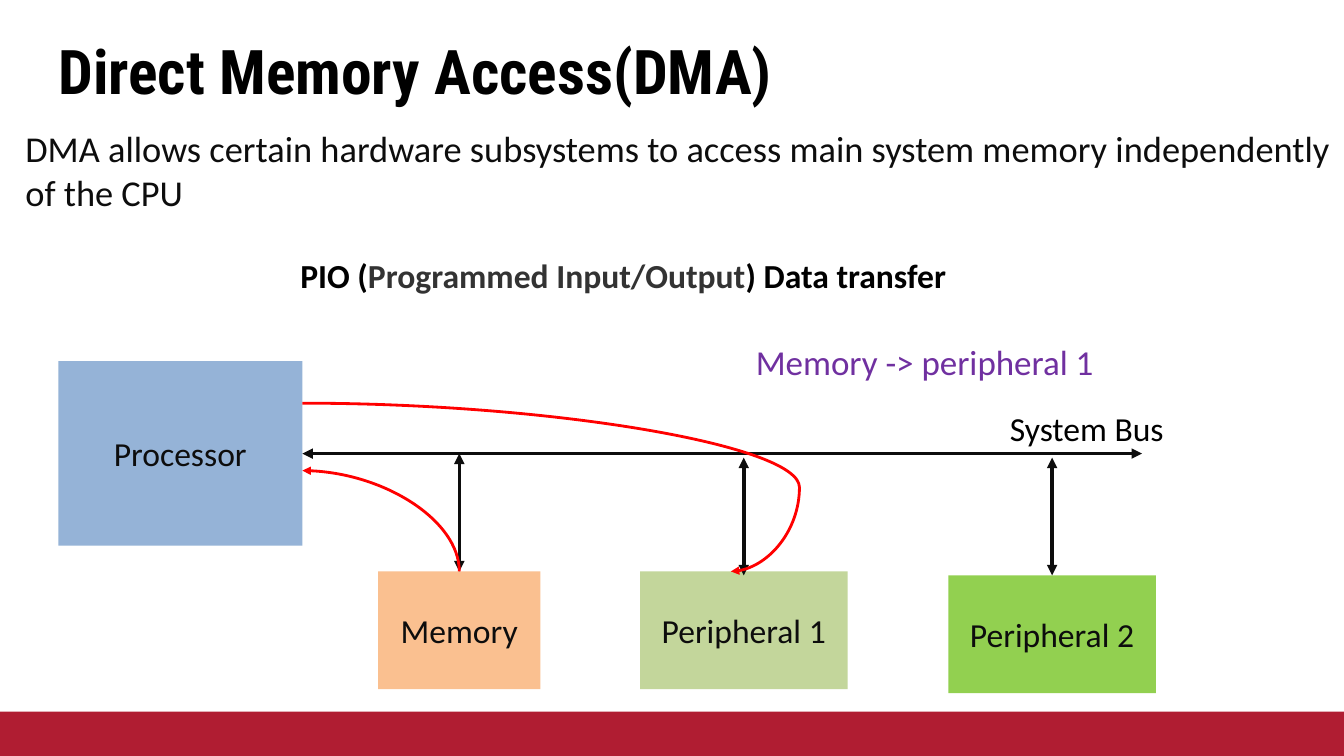
from lxml import etree
from pptx import Presentation
from pptx import util as u
from pptx.dml.color import RGBColor
from pptx.enum import shapes, text
from pptx.oxml.ns import qn

INK, BLACK, RED = "0D0D0D", "000000", "FF0000"
STRAIGHT, CURVE = shapes.MSO_CONNECTOR.STRAIGHT, shapes.MSO_CONNECTOR.CURVE


def color(hex_string):
    return RGBColor.from_string(hex_string)


def set_font(paragraph, size, hex_string, name="Calibri", bold=False):
    font = paragraph.font
    font.name, font.size, font.bold = name, u.Pt(size), bold
    font.color.rgb = color(hex_string)


def add_text(slide, box, lines, size, hex_string, name="Calibri", bold=False, inset=True):
    """Place a text box; each line is a paragraph."""
    shape = slide.shapes.add_textbox(*map(u.Cm, box))
    frame = shape.text_frame
    frame.word_wrap = True
    if not inset:
        frame.margin_left = frame.margin_right = frame.margin_top = frame.margin_bottom = 0
    frame.text = "\n".join(lines)
    for paragraph in frame.paragraphs:
        set_font(paragraph, size, hex_string, name, bold)
    return shape


def add_block(slide, box, fill, label=""):
    shape = slide.shapes.add_shape(shapes.MSO_SHAPE.RECTANGLE, *map(u.Cm, box))
    shape.shadow.inherit = False
    shape.fill.solid()
    shape.fill.fore_color.rgb = color(fill)
    shape.line.fill.background()
    if label:
        frame = shape.text_frame
        frame.vertical_anchor = text.MSO_ANCHOR.MIDDLE
        frame.text = label
        frame.paragraphs[0].alignment = text.PP_ALIGN.CENTER
        set_font(frame.paragraphs[0], 24, INK)


def add_arrow(slide, kind, start, end, hex_string, width, both_ends=False):
    connector = slide.shapes.add_connector(kind, *map(u.Cm, (*start, *end)))
    connector.line.color.rgb = color(hex_string)
    connector.line.width = u.Pt(width)
    line = connector.line._get_or_add_ln()
    for tag in ("a:headEnd", "a:tailEnd") if both_ends else ("a:tailEnd",):
        etree.SubElement(line, qn(tag), type="triangle")
    properties = connector._element.spPr
    etree.SubElement(properties, qn("a:effectLst"))
    return properties


def add_quarter_curve(slide, start, end):
    """Leave start upwards and reach end leftwards: a quarter curve turned by 270 degrees."""
    center_x, center_y = (start[0] + end[0]) / 2, (start[1] + end[1]) / 2
    half_x, half_y = (start[0] - end[0]) / 2, (start[1] - end[1]) / 2
    properties = add_arrow(slide, CURVE, (center_x - half_y, center_y + half_x),
                           (center_x + half_y, center_y - half_x), RED, 2)
    properties.find(qn("a:xfrm")).set("rot", str(270 * 60000))
    properties.find(qn("a:prstGeom")).set("prst", "curvedConnector2")


def add_loop_curve(slide, start, end, bend):
    """Swing past end and come back; bend is the turning point as a share of the width."""
    properties = add_arrow(slide, CURVE, start, end, RED, 2)
    guides = properties.find(qn("a:prstGeom")).find(qn("a:avLst"))
    etree.SubElement(guides, qn("a:gd"), name="adj1", fmla=f"val {round(bend * 100000)}")


def add_heading(slide, left, top):
    add_text(slide, (left + 0.83, top, 28.78, 1.88), ["Direct Memory Access(DMA)"],
             44, BLACK, "Roboto Condensed", bold=True, inset=False)
    add_text(slide, (left, top + 2.34, 35.36, 2.24),
             ["DMA allows certain hardware subsystems to access main system memory independently",
              "of the CPU"], 26, INK, inset=False)


def add_caption(slide, box):
    shape = add_text(slide, box, [""], 24, BLACK, bold=True)
    paragraph = shape.text_frame.paragraphs[0]
    for words, hex_string in (("PIO (", BLACK), ("Programmed Input/Output", "333333"),
                              (") Data transfer", BLACK)):
        run = paragraph.add_run()
        run.text = words
        run.font.color.rgb = color(hex_string)


def add_bus_diagram(slide, left, top):
    def at(x, y):
        return left + x, top + y

    processor_right, bus_y, device_y, device_height = 6.15, 2.97, 5.94, 2.97
    memory_x, memory_width = 8.06, 4.09

    # Processor and system bus
    add_block(slide, (*at(0, 0.64), processor_right, 4.65), "95B3D7", "Processor")
    add_arrow(slide, STRAIGHT, at(processor_right, bus_y), at(27.31, bus_y), INK, 2.5, True)
    add_text(slide, (*at(23.73, 1.7), 4.65, 1.27), ["System Bus"], 24, BLACK)

    # Devices: x, width, drop of box, drop of link, fill, label
    for x, width, drop, link_drop, fill, label in (
            (memory_x, memory_width, 0, 0, "FAC090", "Memory"),
            (14.66, 5.23, 0, 0.1, "C3D69B", "Peripheral 1"),
            (22.43, 5.23, 0.1, 0.1, "92D050", "Peripheral 2")):
        add_block(slide, (*at(x, device_y + drop), width, device_height), fill, label)
        middle = x + width / 2
        add_arrow(slide, STRAIGHT, at(middle, device_y + link_drop),
                  at(middle, bus_y + link_drop), INK, 2.5, True)

    # Data transfer through the processor
    add_text(slide, (*at(17.33, 0), 11.13, 1.32), ["Memory -> peripheral 1"], 25, "7030A0")
    add_quarter_curve(slide, at(memory_x + memory_width / 2, device_y),
                      at(processor_right, 3.4))
    add_loop_curve(slide, at(processor_right, 1.7), at(16.95, device_y), 1.16)


def main():
    presentation = Presentation()
    presentation.slide_width, presentation.slide_height = u.Cm(33.87), u.Cm(19.05)
    slide = presentation.slides.add_slide(presentation.slide_layouts[6])
    add_block(slide, (0, 17.93, 33.87, 1.12), "B01D32")  # footer band
    add_heading(slide, 0.64, 0.84)
    add_caption(slide, (7.32, 6.3, 22.02, 1.27))
    add_bus_diagram(slide, 1.47, 8.46)
    presentation.save("out.pptx")


if __name__ == "__main__":
    main()
